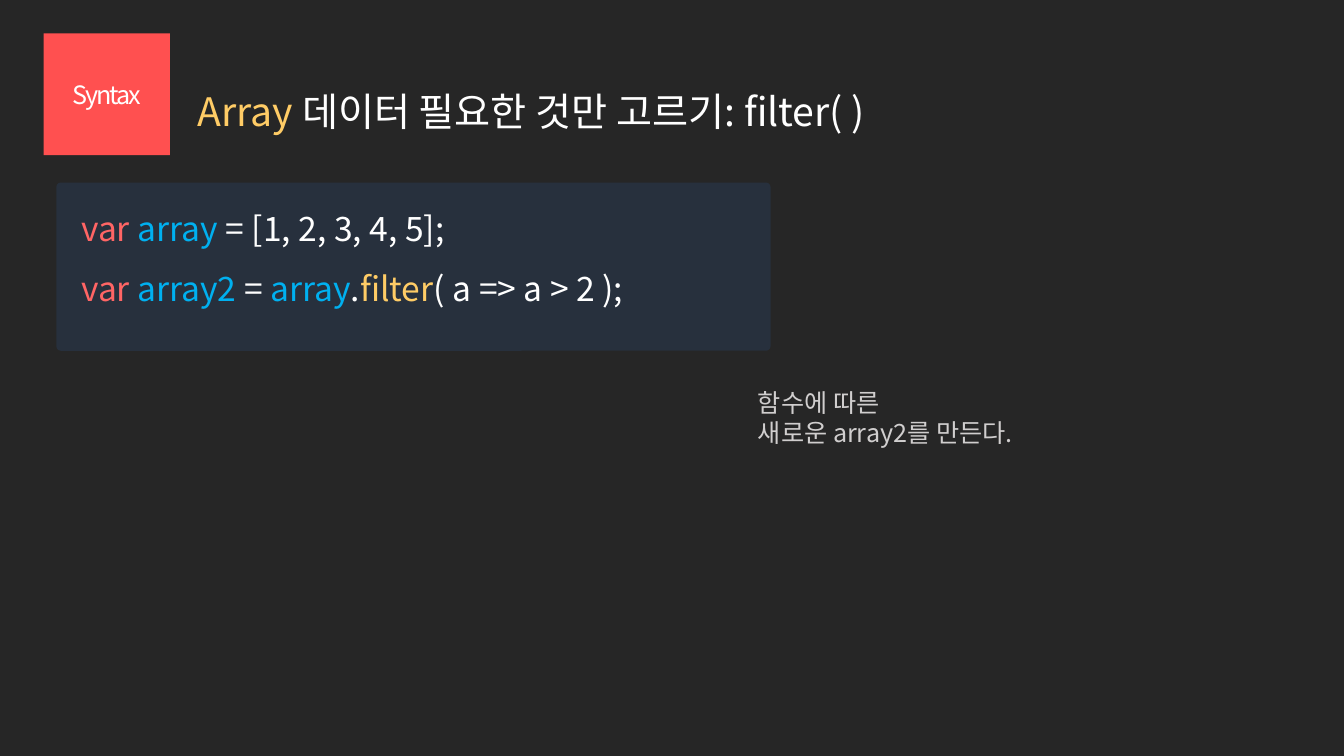
from lxml.etree import SubElement as Sub
from pptx import Presentation as Deck
from pptx.dml.color import RGBColor as Rgb
from pptx.enum.shapes import MSO_SHAPE as Kind
from pptx.enum.text import MSO_ANCHOR as Anchor, MSO_AUTO_SIZE as Fit, PP_ALIGN as Align
from pptx.oxml.ns import qn
from pptx.util import Cm, Pt

FONT = "Noto Sans CJK KR"
WHITE, GOLD, RED, BLUE = "FFFFFF", "FFCC66", "FF6565", "00B0F0"


def paint(fill, tone):
    fill.solid()
    fill.fore_color.rgb = Rgb.from_string(tone)


def write(frame, lines, size, space=None, align=Align.LEFT, track=None):
    """Fill a text frame; each line is a list of (text, colour) runs."""
    for i, line in enumerate(lines):
        para = frame.paragraphs[0] if i == 0 else frame.add_paragraph()
        para.alignment = align
        if space:
            para.line_spacing = space
        for text, tone in line:
            run = para.add_run()
            run.text = text
            run.font.size = Pt(size)
            run.font.name = FONT
            paint(run.font.fill, tone)
            props = run._r.get_or_add_rPr()
            Sub(props, qn("a:ea")).set("typeface", FONT)
            if track:
                props.set("spc", str(track))


def panel(slide, box, tone, bend):
    shape = slide.shapes.add_shape(Kind.ROUNDED_RECTANGLE, *map(Cm, box))
    shape.adjustments[0] = bend
    shape.shadow.inherit = False
    paint(shape.fill, tone)
    shape.line.fill.background()
    return shape


def label(slide, box, lines, size, space=None):
    frame = slide.shapes.add_textbox(*map(Cm, box)).text_frame
    frame.word_wrap = True
    frame.auto_size = Fit.SHAPE_TO_FIT_TEXT
    write(frame, lines, size, space)


# Header: badge on the left, title beside it
def header(slide, box):
    left, top, wide, high = box
    side = 3.18
    badge = panel(slide, (left, top, side, high), "FF5050", 0)
    badge.text_frame.vertical_anchor = Anchor.MIDDLE
    write(badge.text_frame, [[("Syntax", WHITE)]], 18,
          align=Align.CENTER, track=-150)

    title = slide.shapes.title
    inset = side + 0.45
    title.left, title.top = Cm(left + inset), Cm(top + 1.37)
    title.width, title.height = Cm(wide - inset), Cm(2.08)
    frame = title.text_frame
    frame.auto_size = Fit.NONE
    frame.vertical_anchor = Anchor.TOP
    write(frame, [[("Array ", GOLD),
                   ("데이터 필요한 것만 고르기: filter( )", WHITE)]], 28, 0.9)


# Code: dark panel with two lines of source
def code(slide, box):
    left, top, wide, high = box
    panel(slide, box, "27303D", 0.027)
    lines = [
        [("var ", RED), ("array", BLUE), (" = [1, 2, 3, 4, 5];", WHITE)],
        [("var ", RED), ("array2 ", BLUE), ("=", WHITE), (" array", BLUE),
         (".", WHITE), ("filter", GOLD), ("( a => a > 2 );", WHITE)],
    ]
    label(slide, (left + 0.38, top, wide - 1.07, 3.33), lines, 24, 1.5)


# Note: what the call returns
def note(slide, box):
    lines = ["함수에 따른", "새로운 array2를 만든다."]
    label(slide, box, [[(line, "D0CECE")] for line in lines], 18)


def main():
    deck = Deck()
    deck.slide_width, deck.slide_height = Cm(33.87), Cm(19.05)
    slide = deck.slides.add_slide(deck.slide_layouts[5])
    paint(slide.background.fill, "262626")
    header(slide, (1.1, 0.84, 28.19, 3.07))
    code(slide, (1.42, 4.6, 18, 4.24))
    note(slide, (18.85, 9.63, 7.06, 1.8))
    deck.save("out.pptx")


if __name__ == "__main__":
    main()
